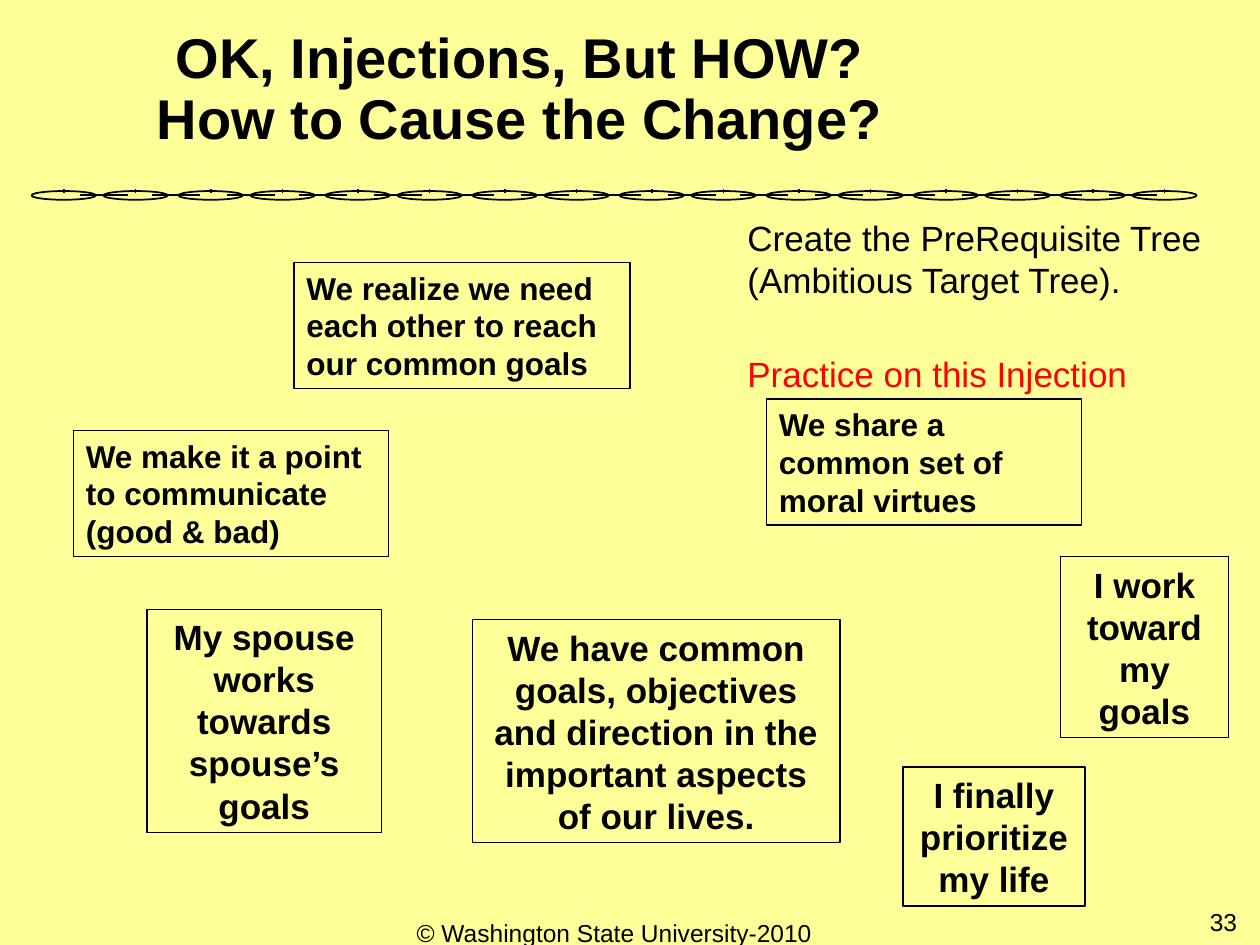
from dataclasses import dataclass

from lxml import etree
from pptx import Presentation
from pptx.dml.color import RGBColor
from pptx.enum.shapes import MSO_CONNECTOR, MSO_SHAPE
from pptx.enum.text import MSO_ANCHOR as Anchor, PP_ALIGN as Align
from pptx.oxml.ns import qn
from pptx.slide import Slide
from pptx.util import Pt

BLACK, RED, YELLOW = "000000", "FF0000", "FFFF99"
LINK_COUNT = 16
PAIR_PITCH, LINK_OFFSET = 84, 41.1


@dataclass
class TextItem:
    text: str
    left: float
    top: float
    width: float
    height: float
    size: float = 20
    align: Align = Align.LEFT
    anchor: Anchor = Anchor.TOP
    bold: bool = False
    color: str = BLACK
    line_spacing: float = 1.0


@dataclass
class InjectionBox(TextItem):
    align: Align = Align.CENTER
    anchor: Anchor = Anchor.MIDDLE
    bold: bool = True
    fill: str | None = None


@dataclass
class NoteBox(InjectionBox):
    size: float = 18
    align: Align = Align.LEFT
    anchor: Anchor = Anchor.TOP


LABELS = [
    TextItem("© Washington State University-2010", 216, 521, 270, 37.5, 14, Align.CENTER),
    TextItem("33", 546, 515, 168, 37.5, 14, Align.RIGHT),
    TextItem("OK, Injections, But HOW?\vHow to Cause the Change?", 0, 36, 594, 54,
             32, Align.CENTER, Anchor.BOTTOM, bold=True, line_spacing=0.9),
    TextItem("Create the PreRequisite Tree (Ambitious Target Tree).", 420, 120, 282, 55.5),
    TextItem("Practice on this Injection", 420, 198, 282, 31.5, color=RED),
]

BOXES = [
    InjectionBox("We have common goals, objectives and direction in the "
                 "important aspects of our lives.", 270, 354, 210, 127.5),
    InjectionBox("My spouse works towards spouse’s goals", 84, 348.25, 134, 127.5),
    InjectionBox("I work toward my goals", 606, 318, 96, 103.5),
    NoteBox("We realize we need each other to reach our common goals", 168, 150, 192, 72),
    NoteBox("We make it a point to communicate (good & bad)", 42, 246, 180, 72),
    NoteBox("We share a common set of moral virtues", 438, 228, 180, 72),
    InjectionBox("I finally prioritize my life", 516, 438.25, 104, 79.5, fill=YELLOW),
]


def rgb(color: str) -> RGBColor:
    return RGBColor.from_string(color)


def add_line(slide: Slide, x1: float, y1: float, x2: float, y2: float) -> None:
    line = slide.shapes.add_connector(
        MSO_CONNECTOR.STRAIGHT, Pt(x1), Pt(y1), Pt(x2), Pt(y2))
    line.line.color.rgb = rgb(BLACK)
    line.line.width = Pt(1)
    etree.SubElement(line._element.spPr, qn("a:effectLst"))


def add_outline(slide: Slide, kind: MSO_SHAPE, left: float, top: float,
                width: float, height: float, weight: float, fill: str | None = None):
    shape = slide.shapes.add_shape(kind, Pt(left), Pt(top), Pt(width), Pt(height))
    shape.shadow.inherit = False
    if fill:
        shape.fill.solid()
        shape.fill.fore_color.rgb = rgb(fill)
    else:
        shape.fill.background()
    shape.line.color.rgb = rgb(BLACK)
    shape.line.width = Pt(weight)
    return shape


def write_text(shape, item: TextItem) -> None:
    frame = shape.text_frame
    frame.word_wrap = True
    frame.vertical_anchor = item.anchor
    frame.text = item.text
    paragraph = frame.paragraphs[0]
    paragraph.alignment = item.align
    paragraph.line_spacing = item.line_spacing
    font = paragraph.font
    font.name, font.size, font.bold = "Arial", Pt(item.size), item.bold
    font.color.rgb = rgb(item.color)


def add_label(slide: Slide, item: TextItem) -> None:
    shape = slide.shapes.add_textbox(
        Pt(item.left), Pt(item.top), Pt(item.width), Pt(item.height))
    write_text(shape, item)


def add_box(slide: Slide, box: InjectionBox) -> None:
    shape = add_outline(slide, MSO_SHAPE.RECTANGLE, box.left, box.top,
                        box.width, box.height, 0.75, box.fill)
    write_text(shape, box)


def add_chain(slide: Slide) -> None:
    """Draw the divider: links in pairs, each joined to the next by a bar."""
    for index in range(LINK_COUNT):
        pair, second = divmod(index, 2)
        left = 18 + pair * PAIR_PITCH + second * LINK_OFFSET
        add_outline(slide, MSO_SHAPE.OVAL, left, 109.2, 36.75, 5, 1)
        add_line(slide, left + 18.4, 108, left + 18.4, 110.2)
        if index < LINK_COUNT - 1:
            add_line(slide, left + 55.1, 111.6, left + 27.6, 111.6)


def main() -> None:
    presentation = Presentation()
    presentation.slide_width, presentation.slide_height = Pt(720), Pt(540)
    slide = presentation.slides.add_slide(presentation.slide_layouts[6])
    slide.background.fill.solid()
    slide.background.fill.fore_color.rgb = rgb(YELLOW)
    add_chain(slide)
    for label in LABELS:
        add_label(slide, label)
    for box in BOXES:
        add_box(slide, box)
    presentation.save("out.pptx")


if __name__ == "__main__":
    main()
